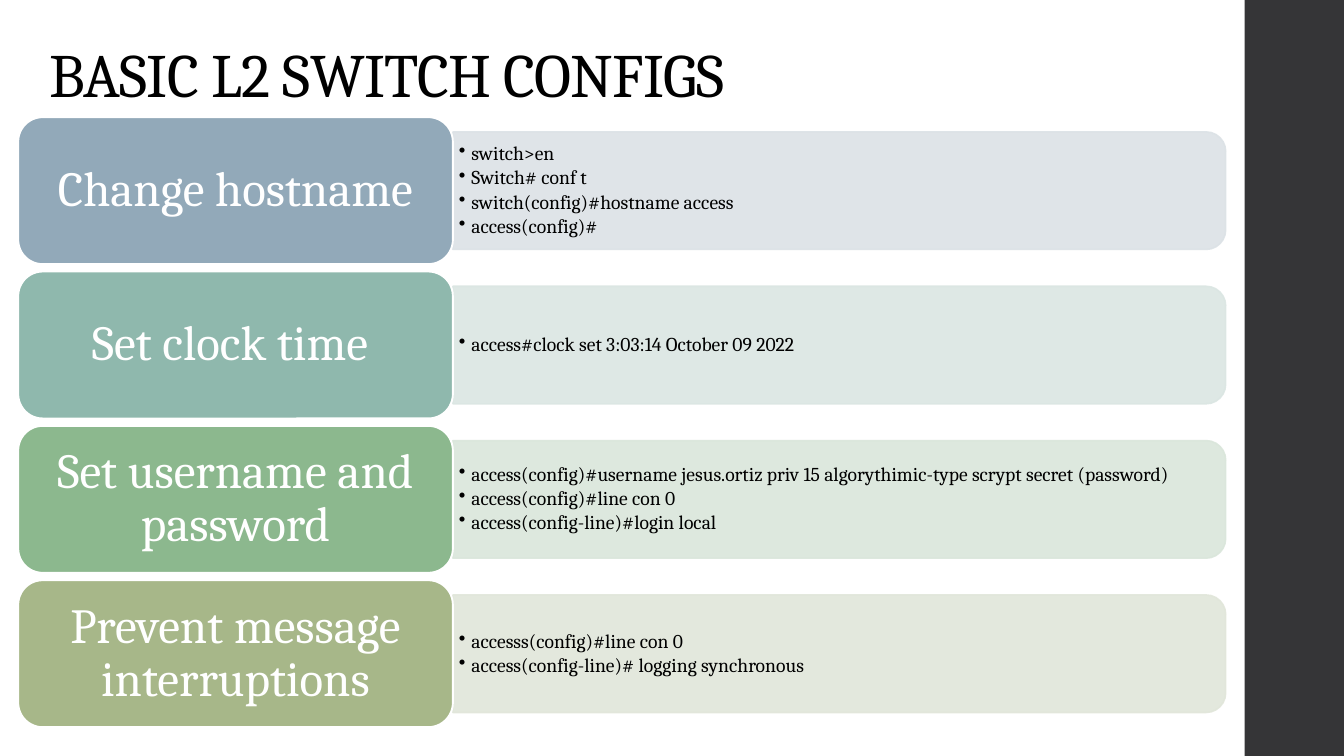
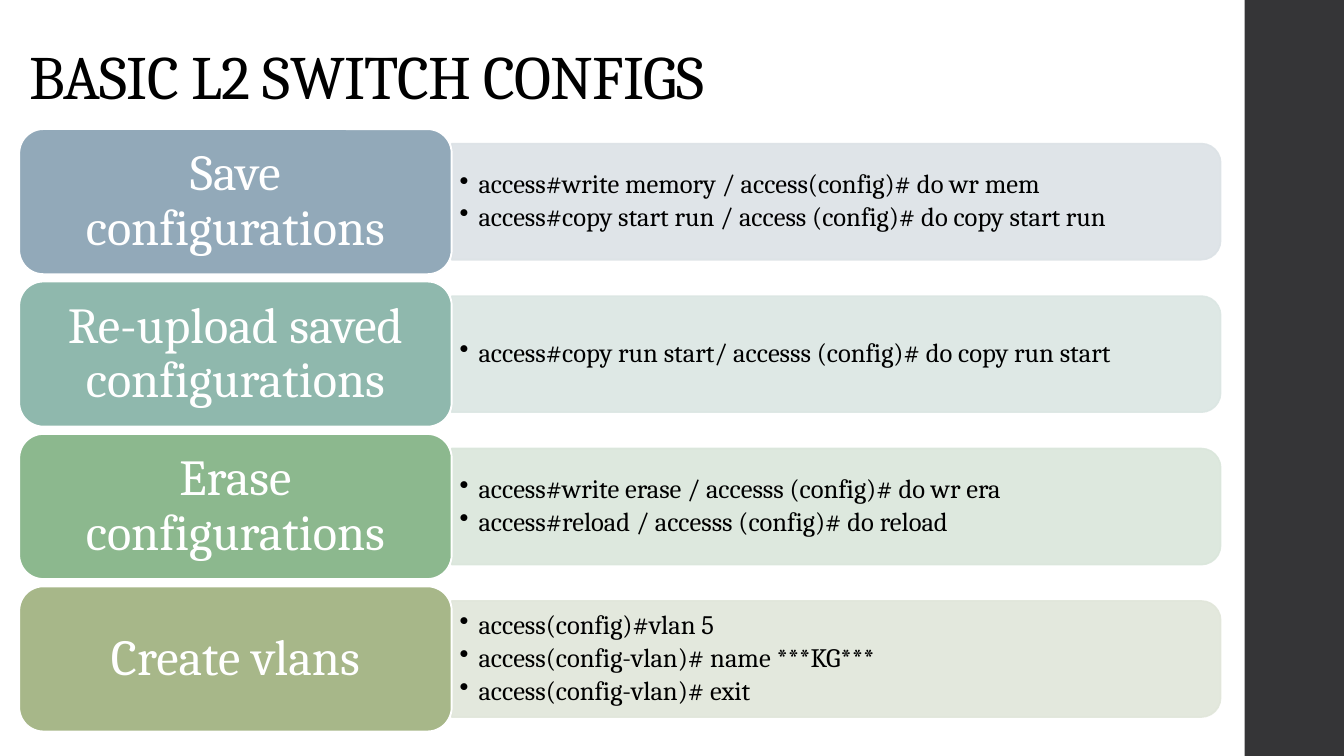
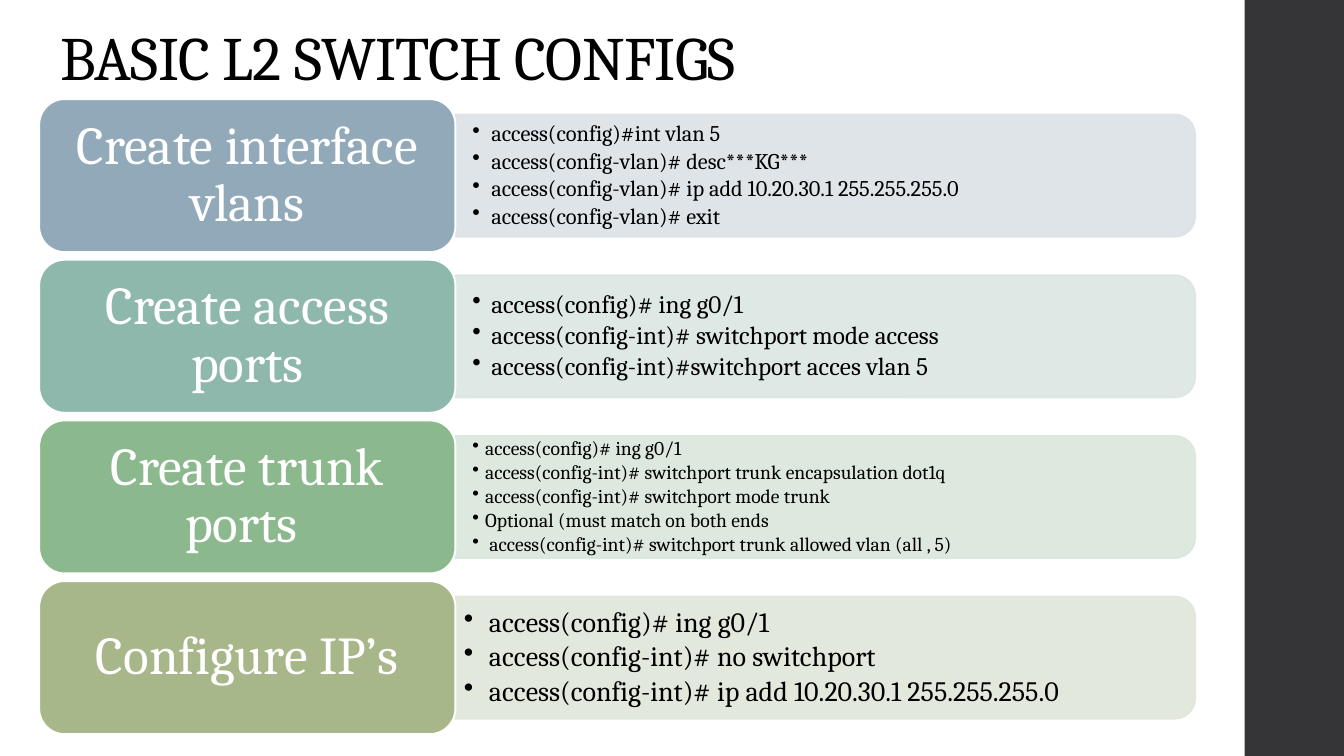
from lxml.etree import SubElement
from pptx import Presentation
from pptx.dml.color import RGBColor
from pptx.enum.shapes import MSO_SHAPE
from pptx.enum.text import MSO_ANCHOR, MSO_AUTO_SIZE, PP_ALIGN
from pptx.oxml.ns import qn
from pptx.util import Pt

BLACK = RGBColor(0x00, 0x00, 0x00)
WHITE = RGBColor(0xFF, 0xFF, 0xFF)
CHARCOAL = RGBColor(0x35, 0x35, 0x37)
LABEL_COLORS = [RGBColor(0x92, 0xA9, 0xB9), RGBColor(0x8F, 0xB8, 0xAD),
                RGBColor(0x8C, 0xB8, 0x8E), RGBColor(0xA7, 0xB7, 0x89)]
PANEL_COLORS = [RGBColor(0xDC, 0xE2, 0xE6), RGBColor(0xDB, 0xE6, 0xE3),
                RGBColor(0xDA, 0xE6, 0xDB), RGBColor(0xE1, 0xE6, 0xDA)]
TITLE = "BASIC L2 SWITCH CONFIGS"
WIDTH, HEIGHT = 960, 540
SIDEBAR_LEFT = 889
BULLET_INDENTS = {14: 9, 20: 18}

SLIDES = [
    {"title_at": (28, -21.6), "left": 13, "top": 83.7, "width": 862.5, "row_height": 105,
     "label_size": 35, "rows": [
         ("Change hostname", 14, 4.2, [
             "switch>en", "Switch# conf t", "switch(config)#hostname access", "access(config)#"]),
         ("Set clock time ", 14, 4.2, ["access#clock set 3:03:14 October 09 2022"]),
         ("Set username and password", 14, 4.2, [
             "access(config)#username jesus.ortiz priv 15 algorythimic-type scrypt secret (password)",
             "access(config)#line con 0", "access(config-line)#login local"]),
         ("Prevent message interruptions", 14, 4.2, [
             "accesss(config)#line con 0", "access(config-line)# logging synchronous"])]},
    {"title_at": (13.7, -20.2), "left": 13.7, "top": 92.2, "width": 858.2, "row_height": 103.7,
     "label_size": 36, "rows": [
         ("Save configurations", 19, 5.7, [
             "access#write memory / access(config)# do wr mem",
             "access#copy start run / access (config)# do copy start run"]),
         ("Re-upload saved configurations", 19, 5.7, [
             "access#copy run start/ accesss (config)# do copy run start"]),
         ("Erase configurations", 19, 5.7, [
             "access#write erase / accesss (config)# do wr era",
             "access#reload / accesss (config)# do reload"]),
         ("Create vlans", 19, 5.7, [
             "access(config)#vlan 5", "access(config-vlan)# name ***KG***",
             "access(config-vlan)# exit"])]},
    {"title_at": (36, -33.8), "left": 28, "top": 70.8, "width": 825.8, "row_height": 109.3,
     "label_size": 38, "rows": [
         ("Create interface vlans", 16, 12.2, [
             "access(config)#int vlan 5", "access(config-vlan)# desc***KG***",
             "access(config-vlan)# ip add 10.20.30.1 255.255.255.0", "access(config-vlan)# exit"]),
         ("Create access ports", 18, 12.2, [
             "access(config)# ing g0/1", "access(config-int)# switchport mode access",
             "access(config-int)#switchport acces vlan 5"]),
         ("Create trunk ports ", 14, 12.2, [
             "access(config)# ing g0/1", "access(config-int)# switchport trunk encapsulation dot1q",
             "access(config-int)# switchport mode trunk", "Optional (must match on both ends",
             " access(config-int)# switchport trunk allowed vlan (all , 5)"]),
         ("Configure IP’s", 20, 6, [
             "access(config)# ing g0/1", "access(config-int)# no switchport",
             "access(config-int)# ip add 10.20.30.1 255.255.255.0"])]},
]


class Deck:
    """Build slides of labelled command rows in one shared style."""

    def __init__(self):
        self.prs = Presentation()
        self.prs.slide_width, self.prs.slide_height = Pt(WIDTH), Pt(HEIGHT)
        self.s = None

    def set_all(self, obj, values):
        for name, value in values.items():
            setattr(obj, name, value)

    def frame(self, tf, anchor, inset_x, inset_y):
        self.set_all(tf, {
            "word_wrap": True, "auto_size": MSO_AUTO_SIZE.NONE, "vertical_anchor": anchor,
            "margin_left": Pt(inset_x), "margin_right": Pt(inset_x),
            "margin_top": Pt(inset_y), "margin_bottom": Pt(inset_y)})

    def text(self, p, text, size, color, align=PP_ALIGN.LEFT):
        self.set_all(p, {"alignment": align, "line_spacing": 0.9})
        r = p.add_run()
        r.text = text
        self.set_all(r.font, {"name": "Cambria", "size": Pt(size)})
        r.font.color.rgb = color
        return r

    def shape(self, kind, left, top, width, height, fill, line=None, line_width=0):
        sp = self.s.shapes.add_shape(kind, Pt(left), Pt(top), Pt(width), Pt(height))
        sp.shadow.inherit = False
        sp.fill.solid()
        sp.fill.fore_color.rgb = fill
        if line is None:
            sp.line.fill.background()
        else:
            sp.line.color.rgb = line
            sp.line.width = Pt(line_width)
        return sp

    def add_slide(self, title, left, top):
        self.s = self.prs.slides.add_slide(self.prs.slide_layouts[5])
        self.shape(MSO_SHAPE.RECTANGLE, SIDEBAR_LEFT, 0, WIDTH - SIDEBAR_LEFT, HEIGHT, CHARCOAL)
        sp = self.s.shapes.title
        self.set_all(sp, {"left": Pt(left), "top": Pt(top), "width": Pt(763), "height": Pt(104.4)})
        self.frame(sp.text_frame, MSO_ANCHOR.BOTTOM, 7.2, 3.6)
        r = self.text(sp.text_frame.paragraphs[0], title, 44, BLACK)
        r._r.get_or_add_rPr().set("spc", "-50")

    def panel(self, left, top, width, height, color):
        sp = self.shape(MSO_SHAPE.ROUND_2_SAME_RECTANGLE, left + (width - height) / 2,
                        top + (height - width) / 2, height, width, color, color, 1.1)
        sp.rotation = 90
        for clr in sp.element.spPr.iter(qn("a:srgbClr")):
            SubElement(clr, qn("a:alpha"), val="90000")

    def bullets(self, left, top, width, height, lines, size, inset):
        tf = self.s.shapes.add_textbox(Pt(left), Pt(top), Pt(width), Pt(height)).text_frame
        self.frame(tf, MSO_ANCHOR.MIDDLE, inset, inset / 2)
        indent = Pt(BULLET_INDENTS.get(size, 13.5))
        for i, line in enumerate(lines):
            p = tf.add_paragraph() if i else tf.paragraphs[0]
            self.text(p, line, size, BLACK)
            p.space_after = Pt(0.15 * size)
            pPr = p._p.get_or_add_pPr()
            pPr.set("marL", str(indent))
            pPr.set("indent", str(-indent))
            SubElement(pPr, qn("a:buChar"), char="•")

    def label(self, left, top, width, height, text, size, color):
        sp = self.shape(MSO_SHAPE.ROUNDED_RECTANGLE, left, top, width, height, color, WHITE, 1.35)
        self.frame(sp.text_frame, MSO_ANCHOR.MIDDLE, 11, 5.5)
        self.text(sp.text_frame.paragraphs[0], text, size, WHITE, PP_ALIGN.CENTER)

    def rows(self, left, top, width, row_height, label_size, rows):
        label_width = 0.36 * width
        panel_width = width - label_width
        panel_height = 0.8 * row_height
        for i, (text, size, inset, lines) in enumerate(rows):
            y = top + i * 1.05 * row_height
            box = (left + label_width, y + 0.1 * row_height, panel_width, panel_height)
            self.panel(*box, PANEL_COLORS[i])
            self.bullets(*box, lines, size, inset)
            self.label(left, y, label_width, row_height, text, label_size, LABEL_COLORS[i])


def main():
    deck = Deck()
    for slide in SLIDES:
        deck.add_slide(TITLE, *slide["title_at"])
        deck.rows(**{k: v for k, v in slide.items() if k != "title_at"})
    deck.prs.save("out.pptx")


if __name__ == "__main__":
    main()
